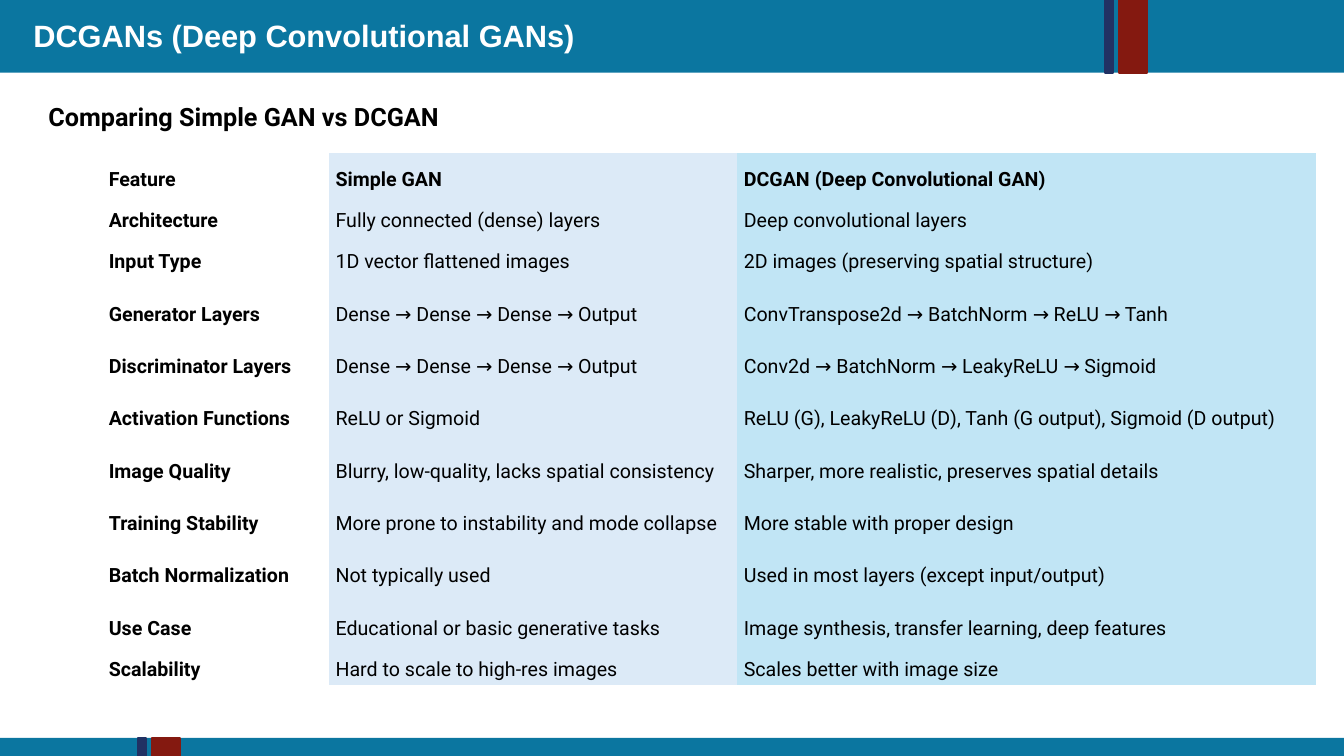
import pptx
import pptx.dml.color
import pptx.enum.shapes
import pptx.enum.text
import pptx.util

Pt = pptx.util.Pt
RGB = pptx.dml.color.RGBColor
ANCHOR = pptx.enum.text.MSO_ANCHOR

TEAL = RGB(0x0B, 0x76, 0xA0)
RED = RGB(0x84, 0x19, 0x10)
NAVY = RGB(0x21, 0x31, 0x63)
PALE = RGB(0xDC, 0xEA, 0xF7)
SKY = RGB(0xC1, 0xE5, 0xF5)
WHITE = RGB(0xFF, 0xFF, 0xFF)
BLACK = RGB(0, 0, 0)

WIDE, HIGH = 960, 540
HEAD, FOOT = 52, 13
PLAIN_STYLE = "{2D5ABB26-0587-4C30-8999-92F81FD0307C}"  # no fill, no grid

WIDTHS = (162, 291.6, 414)
FILLS = (None, PALE, SKY)
TALL, SHORT = 37.44, 21.6
ROWS = (
    ("Feature", "Simple GAN", "DCGAN (Deep Convolutional GAN)"),
    ("Architecture", "Fully connected (dense) layers", "Deep convolutional layers"),
    ("Input Type", "1D vector flattened images",
     "2D images (preserving spatial structure)"),
    ("Generator Layers", "Dense → Dense → Dense → Output",
     "ConvTranspose2d → BatchNorm → ReLU → Tanh"),
    ("Discriminator Layers", "Dense → Dense → Dense → Output",
     "Conv2d → BatchNorm → LeakyReLU → Sigmoid"),
    ("Activation Functions", "ReLU or Sigmoid",
     "ReLU (G), LeakyReLU (D), Tanh (G output), Sigmoid (D output)"),
    ("Image Quality", "Blurry, low-quality, lacks spatial consistency",
     "Sharper, more realistic, preserves spatial details"),
    ("Training Stability", "More prone to instability and mode collapse",
     "More stable with proper design"),
    ("Batch Normalization", "Not typically used",
     "Used in most layers (except input/output)"),
    ("Use Case", "Educational or basic generative tasks",
     "Image synthesis, transfer learning, deep features"),
    ("Scalability", "Hard to scale to high-res images",
     "Scales better with image size"),
)
SHORT_ROWS = ("Architecture", "Scalability")


def write(frame, text, face, size, color, bold):
    frame.text = text
    para = frame.paragraphs[0]
    para.alignment = pptx.enum.text.PP_ALIGN.LEFT
    font = para.runs[0].font
    font.name, font.size, font.bold = face, Pt(size), bold
    font.color.rgb = color


def add_block(slide, left, top, width, height, color, edge=False):
    kind = pptx.enum.shapes.MSO_SHAPE.RECTANGLE
    block = slide.shapes.add_shape(kind, Pt(left), Pt(top), Pt(width), Pt(height))
    block.shadow.inherit = False
    block.fill.solid()
    block.fill.fore_color.rgb = color
    if edge:
        block.line.color.rgb = color
        block.line.width = Pt(1.5)
    else:
        block.line.fill.background()


def add_band(slide, top, height, mark):
    """Draw a full-width band with a navy and a red stripe starting at mark."""
    add_block(slide, 0, top, WIDE, height, TEAL)
    add_block(slide, mark + 10.1, top, 20.2, height, RED, edge=True)
    add_block(slide, mark, top, 5.8, height, NAVY, edge=True)


def set_title(slide, left, top, width, height):
    title = slide.shapes.title
    title.left, title.top = Pt(left), Pt(top)
    title.width, title.height = Pt(width), Pt(height)
    frame = title.text_frame
    frame.auto_size = pptx.enum.text.MSO_AUTO_SIZE.NONE
    frame.vertical_anchor = ANCHOR.MIDDLE
    write(frame, "DCGANs (Deep Convolutional GANs)", "Arial", 22, WHITE, True)
    # Bring the title in front of the bands
    title.element.getparent().append(title.element)


def add_heading(slide, left, top, width, height):
    box = slide.shapes.add_textbox(Pt(left), Pt(top), Pt(width), Pt(height))
    box.text_frame.word_wrap = True
    write(box.text_frame, "Comparing Simple GAN vs DCGAN", "Roboto", 18, BLACK, True)


def add_matrix(slide, left, top):
    heights = [SHORT if row[0] in SHORT_ROWS else TALL for row in ROWS]
    holder = slide.shapes.add_table(len(ROWS), len(WIDTHS), Pt(left), Pt(top),
                                    Pt(sum(WIDTHS)), Pt(sum(heights)))
    table = holder.table
    table.first_row = table.horz_banding = False
    table._tbl.tblPr.find(pptx.oxml.ns.qn("a:tableStyleId")).text = PLAIN_STYLE
    for col, width in zip(table.columns, WIDTHS):
        col.width = Pt(width)
    for r, (texts, height) in enumerate(zip(ROWS, heights)):
        table.rows[r].height = Pt(height)
        for c, (text, fill) in enumerate(zip(texts, FILLS)):
            cell = table.cell(r, c)
            cell.vertical_anchor = ANCHOR.MIDDLE
            cell.margin_left = cell.margin_right = Pt(5)
            cell.margin_top = cell.margin_bottom = Pt(2.4)
            if fill is None:
                cell.fill.background()
            else:
                cell.fill.solid()
                cell.fill.fore_color.rgb = fill
            write(cell.text_frame, text, "Roboto", 14, BLACK, r == 0 or c == 0)


def main():
    deck = pptx.Presentation()
    deck.slide_width, deck.slide_height = Pt(WIDE), Pt(HIGH)
    slide = deck.slides.add_slide(deck.slide_layouts[5])
    add_band(slide, 0, HEAD, 789)
    add_band(slide, HIGH - FOOT, FOOT, 98.6)
    set_title(slide, 16.6, 9.4, 927.4, 31)
    add_heading(slide, 27.4, 69.1, 480, 29)
    add_matrix(slide, 72.7, 109.4)
    deck.save("out.pptx")


if __name__ == "__main__":
    main()
